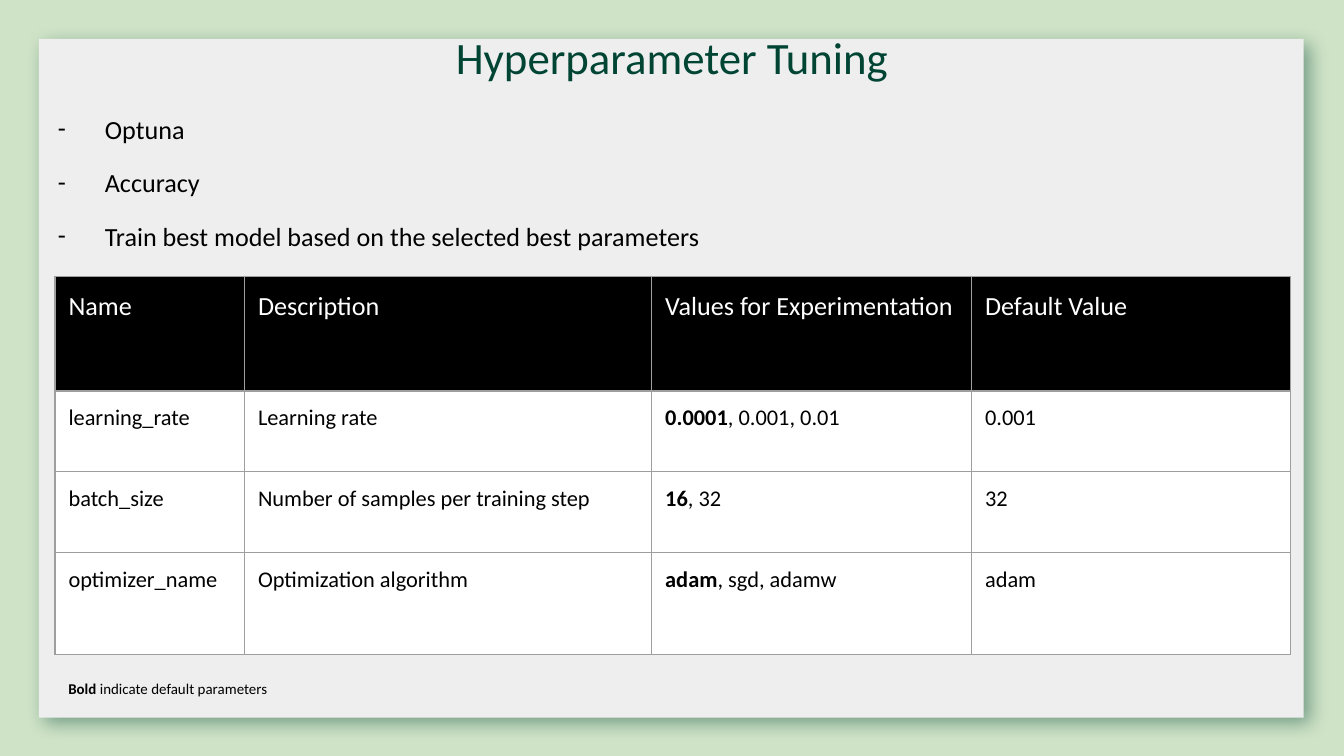
import pptx
import pptx.util
import pptx.dml.color
import pptx.enum.shapes
import pptx.enum.text
import pptx.oxml
from pptx.util import Inches

NS = 'xmlns:a="http://schemas.openxmlformats.org/drawingml/2006/main"'
FONT = "Calibri"
BLACK, WHITE, GREEN = "000000", "FFFFFF", "004534"
GRID = "9E9E9E"

BULLETS = ["Optuna", "Accuracy", "Train best model based on the selected best parameters"]
COL_WIDTHS = [1.41, 3.03, 2.38, 2.37]
ROW_HEIGHTS = [0.85, 0.6, 0.6, 0.76]
HEADER = ["Name", "Description", "Values for Experimentation", "Default Value"]
# Each experimentation value is a pair: bold part, regular part.
PARAMETERS = [
    ["learning_rate", "Learning rate", ("0.0001", ", 0.001, 0.01"), "0.001"],
    ["batch_size", "Number of samples per training step", ("16", ", 32"), "32"],
    ["optimizer_name", "Optimization algorithm", ("adam", ", sgd, adamw"), "adam"],
]


def rgb(color):
    return pptx.dml.color.RGBColor.from_string(color)


def xml(text):
    return pptx.oxml.parse_xml(text)


def place(sp, box):
    sp.left, sp.top, sp.width, sp.height = (Inches(v) for v in box)


def set_frame(tf, inset_x, inset_y, anchor=pptx.enum.text.MSO_ANCHOR.TOP):
    tf.word_wrap = True
    tf.auto_size = pptx.enum.text.MSO_AUTO_SIZE.NONE
    tf.vertical_anchor = anchor
    tf.margin_left = tf.margin_right = Inches(inset_x)
    tf.margin_top = tf.margin_bottom = Inches(inset_y)


def add_run(p, text, size, color, bold=False):
    r = p.add_run()
    r.text = text
    r.font.name = FONT
    r.font.size = pptx.util.Pt(size)
    r.font.bold = bold
    r.font.color.rgb = rgb(color)


def add_panel(s, box):
    """Grey card with a soft green shadow, behind everything else."""
    sp = s.shapes.add_shape(pptx.enum.shapes.MSO_SHAPE.RECTANGLE, *(Inches(v) for v in box))
    sp.fill.solid()
    sp.fill.fore_color.rgb = rgb("EEEEEE")
    sp.line.fill.background()
    sp.element.spPr.append(xml(
        f'<a:effectLst {NS}><a:outerShdw blurRad="{pptx.util.Pt(10)}" dist="{pptx.util.Pt(5)}" '
        f'dir="{45 * 60000}" algn="bl" rotWithShape="0"><a:srgbClr val="{GREEN}">'
        '<a:alpha val="44000"/></a:srgbClr></a:outerShdw></a:effectLst>'))
    s.shapes.element.insert(2, sp.element)


def fill_title(s, box):
    sp = s.shapes.title
    place(sp, box)
    set_frame(sp.text_frame, 0.07, 0.04)
    p = sp.text_frame.paragraphs[0]
    p.alignment = pptx.enum.text.PP_ALIGN.CENTER
    add_run(p, "Hyperparameter Tuning", 24, GREEN)


def fill_bullets(s, box):
    sp = s.placeholders[1]
    place(sp, box)
    tf = sp.text_frame
    set_frame(tf, 0.1, 0.1)
    for i, text in enumerate(BULLETS):
        p = tf.add_paragraph() if i else tf.paragraphs[0]
        pPr = p._p.get_or_add_pPr()
        pPr.set("marL", str(Inches(0.5)))
        pPr.set("indent", str(Inches(-0.35)))
        pPr.append(xml(f'<a:buClr {NS}><a:srgbClr val="{BLACK}"/></a:buClr>'))
        pPr.append(xml(f'<a:buFont {NS} typeface="{FONT}"/>'))
        pPr.append(xml(f'<a:buChar {NS} char="-"/>'))
        p.space_before = pptx.util.Pt(12 if i else 0)
        add_run(p, text, 14, BLACK)


def set_borders(cell):
    tcPr = cell._tc.get_or_add_tcPr()
    for i, side in enumerate(["lnL", "lnR", "lnT", "lnB"]):
        tcPr.insert(i, xml(
            f'<a:{side} {NS} w="{pptx.util.Pt(0.75)}"><a:solidFill>'
            f'<a:srgbClr val="{GRID}"/></a:solidFill></a:{side}>'))


def fill_cell(cell, value, size, color, fill):
    cell.fill.solid()
    cell.fill.fore_color.rgb = rgb(fill)
    cell.margin_left = cell.margin_right = Inches(0.1)
    cell.margin_top = cell.margin_bottom = Inches(0.1)
    set_borders(cell)
    bold, regular = value if isinstance(value, tuple) else ("", value)
    p = cell.text_frame.paragraphs[0]
    if bold:
        add_run(p, bold, size, color, bold=True)
    add_run(p, regular, size, color)


def add_parameter_table(s, box):
    rows = [HEADER] + PARAMETERS
    table = s.shapes.add_table(len(rows), len(HEADER), *(Inches(v) for v in box)).table
    for column, width in zip(table.columns, COL_WIDTHS):
        column.width = Inches(width)
    for i, values in enumerate(rows):
        table.rows[i].height = Inches(ROW_HEIGHTS[i])
        style = (12, BLACK, WHITE) if i else (14, WHITE, BLACK)
        for j, value in enumerate(values):
            fill_cell(table.cell(i, j), value, *style)


def add_footnote(s, box):
    tf = s.shapes.add_textbox(*(Inches(v) for v in box)).text_frame
    set_frame(tf, 0.1, 0.1, pptx.enum.text.MSO_ANCHOR.MIDDLE)
    p = tf.paragraphs[0]
    add_run(p, "Bold ", 8, BLACK, bold=True)
    add_run(p, "indicate default parameters", 8, BLACK)


def main():
    prs = pptx.Presentation()
    prs.slide_width = Inches(10)
    prs.slide_height = prs.slide_width * 9 // 16
    s = prs.slides.add_slide(prs.slide_layouts[1])
    s.background.fill.solid()
    s.background.fill.fore_color.rgb = rgb("CFE3C7")
    add_panel(s, (0.29, 0.29, 9.41, 5.05))
    fill_title(s, (2.23, 0.18, 5.54, 0.48))
    fill_bullets(s, (0.18, 0.74, 9.06, 0.79))
    add_parameter_table(s, (0.41, 2.06, sum(COL_WIDTHS), sum(ROW_HEIGHTS)))
    add_footnote(s, (0.41, 5.02, 1.77, 0.21))
    prs.save("out.pptx")


if __name__ == "__main__":
    main()
